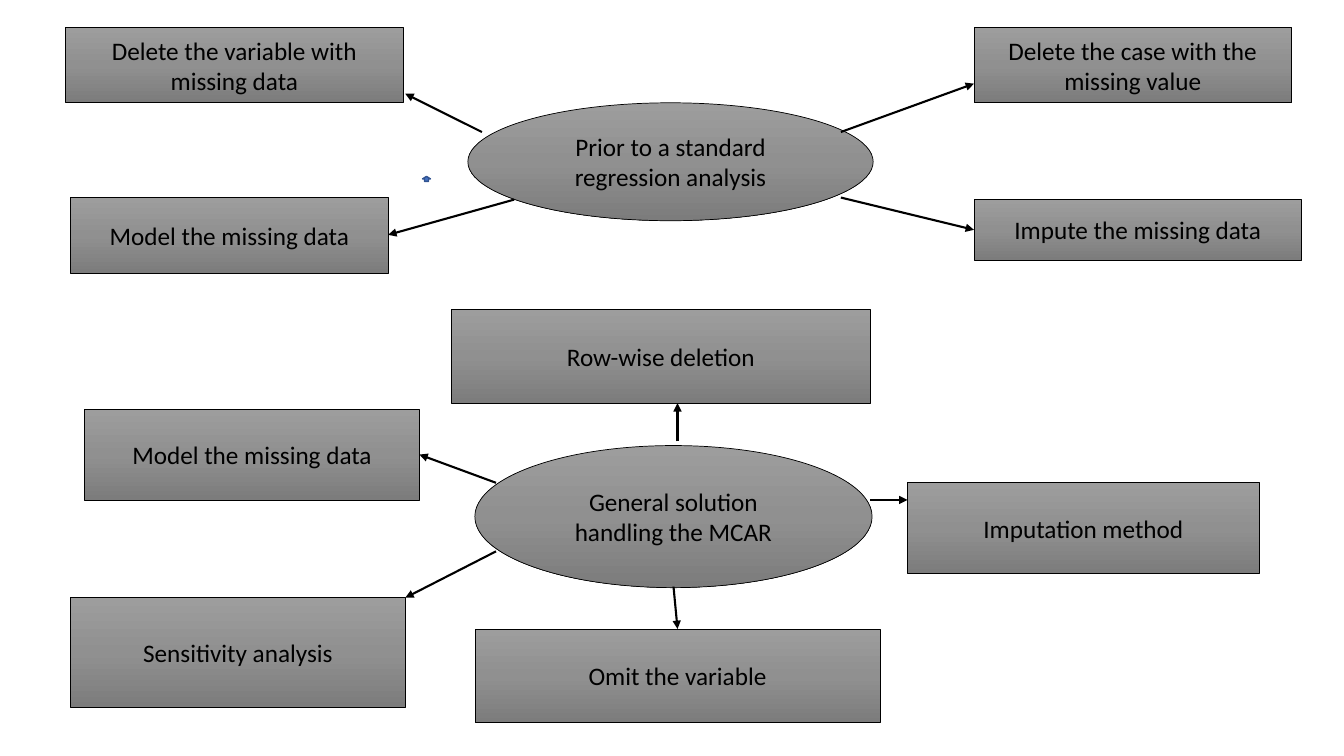
from copy import deepcopy
from lxml import etree
from pptx import Presentation
from pptx.dml.color import RGBColor
from pptx.enum.shapes import MSO_CONNECTOR, MSO_SHAPE
from pptx.enum.text import MSO_ANCHOR, PP_ALIGN
from pptx.oxml.ns import qn
from pptx.util import Inches, Pt

RECT, OVAL, UP = MSO_SHAPE.RECTANGLE, MSO_SHAPE.OVAL, MSO_SHAPE.UP_ARROW
STRAIGHT = MSO_CONNECTOR.STRAIGHT
MIDDLE, CENTER = MSO_ANCHOR.MIDDLE, PP_ALIGN.CENTER
COLORS = {"ink": "000000", "top": "9D9D9D", "mid": "909090", "low": "7C7C7C",
          "marker": "4472C4", "marker_line": "325491"}


def rgb(name):
    return RGBColor.from_string(COLORS[name])


def add_node(kind, box, text):
    sp = s.shapes.add_shape(kind, *map(Inches, box))
    sp.shadow.inherit = False
    sp.fill.gradient()
    sp.fill.gradient_angle = 270
    stops = sp._element.spPr.find(".//" + qn("a:gsLst"))
    stops.insert(1, deepcopy(stops[0]))
    for stop, pos, name in zip(sp.fill.gradient_stops, (0, 0.5, 1), ("top", "mid", "low")):
        stop.position = pos
        stop.color.rgb = rgb(name)
    sp.line.color.rgb = rgb("ink")
    sp.line.width = Pt(0.5)
    tf = sp.text_frame
    tf.word_wrap = True
    tf.vertical_anchor = MIDDLE
    p = tf.paragraphs[0]
    p.alignment = CENTER
    r = p.add_run()
    r.text = text
    r.font.name = "Calibri"
    r.font.size = Pt(18)
    r.font.color.rgb = rgb("ink")


prs = Presentation()
prs.slide_width, prs.slide_height = Inches(13.33), Inches(7.5)
s = prs.slides.add_slide(prs.slide_layouts[6])

nodes = [
    (OVAL, (4.64, 1.02, 4.02, 1.17), "Prior to a standard regression analysis"),
    (RECT, (0.65, 0.27, 3.35, 0.75), "Delete the variable with missing data"),
    (RECT, (9.66, 0.27, 3.15, 0.75), "Delete the case with the missing value"),
    (RECT, (9.66, 1.98, 3.25, 0.6), "Impute the missing data"),
    (RECT, (0.7, 1.96, 3.15, 0.75), "Model the missing data"),
    (OVAL, (4.71, 4.42, 3.94, 1.41), "General solution handling the MCAR"),
    (RECT, (4.48, 3.07, 4.15, 0.93), "Row-wise deletion"),
    (RECT, (0.7, 5.93, 3.32, 1.09), "Sensitivity analysis"),
    (RECT, (0.84, 4.06, 3.32, 0.9), "Model the missing data"),
    (RECT, (4.71, 6.24, 4.02, 0.93), "Omit the variable"),
    (RECT, (9, 4.79, 3.49, 0.9), "Imputation method"),
]
for kind, box, text in nodes:
    add_node(kind, box, text)

marker = s.shapes.add_shape(UP, Inches(4.19), Inches(1.75), Inches(0.08), Inches(0.05))
marker.shadow.inherit = False
marker.fill.solid()
marker.fill.fore_color.rgb = rgb("marker")
marker.line.color.rgb = rgb("marker_line")
marker.line.width = Pt(1)

arrows = [
    (4.78, 1.31, 4.02, 0.93), (5.1, 1.98, 3.85, 2.33),
    (8.34, 1.31, 9.66, 0.83), (8.34, 1.96, 9.66, 2.28),
    (6.68, 5.82, 6.72, 6.24), (8.63, 4.96, 9, 4.96),
    (6.72, 4.38, 6.72, 4), (4.92, 4.79, 4.16, 4.51),
    (4.92, 5.47, 4.02, 5.93),
]
for ends in arrows:
    arrow = s.shapes.add_connector(STRAIGHT, *map(Inches, ends))
    arrow.line.color.rgb = rgb("ink")
    arrow.line.width = Pt(1.5)
    spPr = arrow._element.spPr
    etree.SubElement(spPr.find(qn("a:ln")), qn("a:tailEnd"), type="triangle")
    etree.SubElement(spPr, qn("a:effectLst"))

prs.save("out.pptx")
